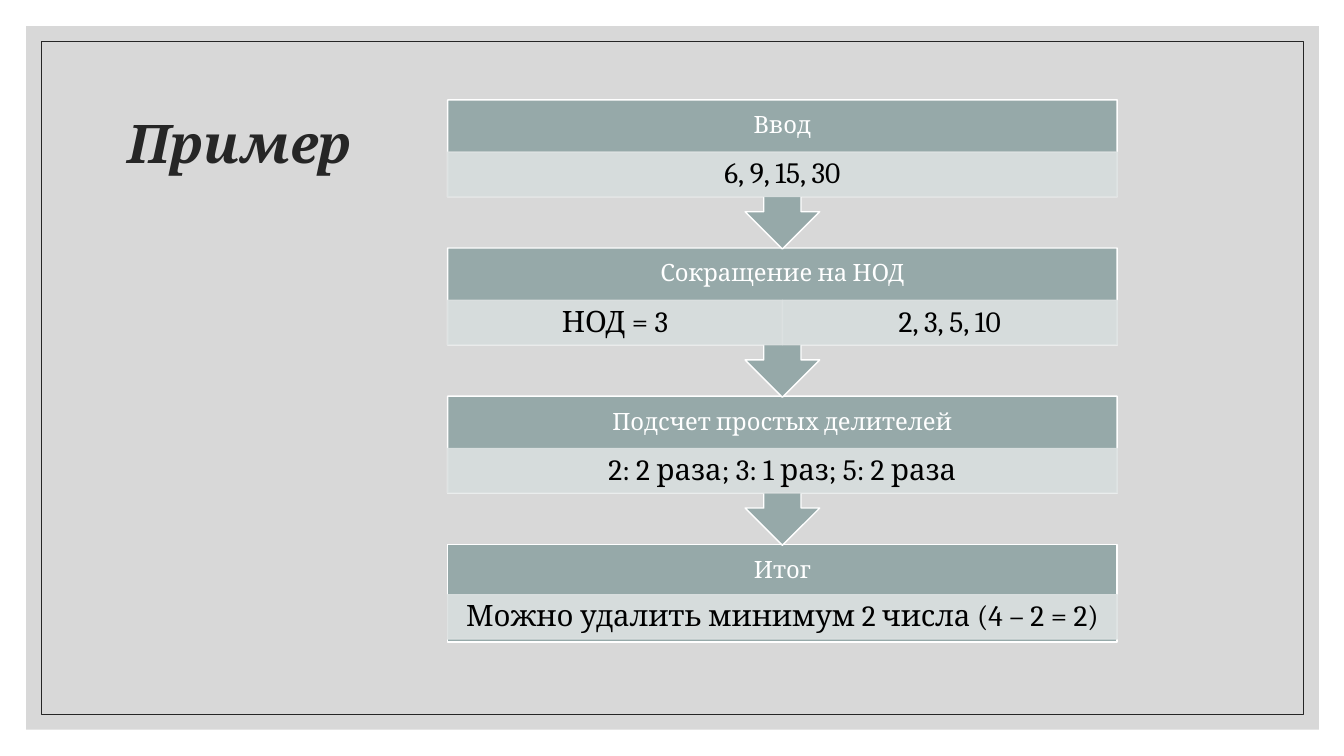
from lxml import etree
from pptx import Presentation, util as u
from pptx.dml.color import RGBColor
from pptx.enum import shapes, text
from pptx.oxml.ns import qn

PX = 9144
FONT = "Cambria"
HEX = {"panel": "BFBFBF", "ink": "262626", "head": "96A9A9",
       "cell": "DDE2E2", "white": "FFFFFF", "black": "000000"}
KIND = shapes.MSO_SHAPE

deck = Presentation()
deck.slide_width, deck.slide_height = 1333 * PX, 750 * PX
slide = deck.slides.add_slide(deck.slide_layouts[6])


def draw(kind, box, fill=None, line=None, width=1, alpha=100):
    shape = slide.shapes.add_shape(kind, *[n * PX for n in box])
    shape.shadow.inherit = False
    for part, tone in ((shape.fill, fill), (shape.line.fill, line)):
        if tone:
            part.solid()
            part.fore_color.rgb = RGBColor.from_string(HEX[tone])
        else:
            part.background()
    if line:
        shape.line.width = u.Pt(width)
    if alpha < 100:
        for tint in shape._element.spPr.iter(qn("a:srgbClr")):
            etree.SubElement(tint, qn("a:alpha"), val=str(alpha * 1000))
    return shape


def write(shape, words, size, tone, pad, center=True):
    frame = shape.text_frame
    frame.word_wrap = True
    frame.vertical_anchor = text.MSO_ANCHOR.MIDDLE
    frame.margin_left = frame.margin_right = pad[0] * PX
    frame.margin_top = frame.margin_bottom = pad[1] * PX
    para = frame.paragraphs[0]
    para.alignment = text.PP_ALIGN.CENTER if center else text.PP_ALIGN.LEFT
    para.line_spacing = 0.9
    run = para.add_run()
    run.text = words
    run.font.size = u.Pt(size)
    run.font.name = FONT
    run.font.color.rgb = RGBColor.from_string(HEX[tone])
    return run


draw(KIND.RECTANGLE, (26, 26, 1282, 698), "panel", alpha=60)
draw(KIND.RECTANGLE, (41, 41, 1252, 668), line="ink", width=0.5)

title = slide.shapes.add_textbox(*[n * PX for n in (117, 70, 1100, 150)])
run = write(title, "Пример", 38, "ink", (10, 5), center=False)
run.font.bold = run.font.italic = True

LEFT, WIDE, TOP, STEP = 444, 664, 99, 147
HEAD, CELL = 52, 44
steps = [
    ("Ввод", ["6, 9, 15, 30"]),
    ("Сокращение на НОД", ["НОД = 3", "2, 3, 5, 10"]),
    ("Подсчет простых делителей", ["2: 2 раза; 3: 1 раз; 5: 2 раза"]),
    ("Итог", ["Можно удалить минимум 2 числа (4 – 2 = 2)"]),
]
last = len(steps) - 1

for row in range(last, -1, -1):
    name, cells = steps[row]
    top = TOP + row * STEP
    if row == last:
        draw(KIND.RECTANGLE, (LEFT, top, WIDE, 97), "head", "white")
    else:
        block = draw(KIND.UP_ARROW_CALLOUT, (LEFT, top, WIDE, 148), "head", "white")
        block.rotation = 180
    label = slide.shapes.add_textbox(LEFT * PX, top * PX, WIDE * PX, HEAD * PX)
    write(label, name, 17, "white", (13, 13))
    span = WIDE // len(cells)
    drop = 50 if row == last else HEAD
    for col, words in enumerate(cells):
        box = (LEFT + col * span, top + drop, span, CELL)
        cell = draw(KIND.RECTANGLE, box, "cell", "cell", alpha=90)
        write(cell, words, 21, "black", (16, 3))

deck.save("out.pptx")
